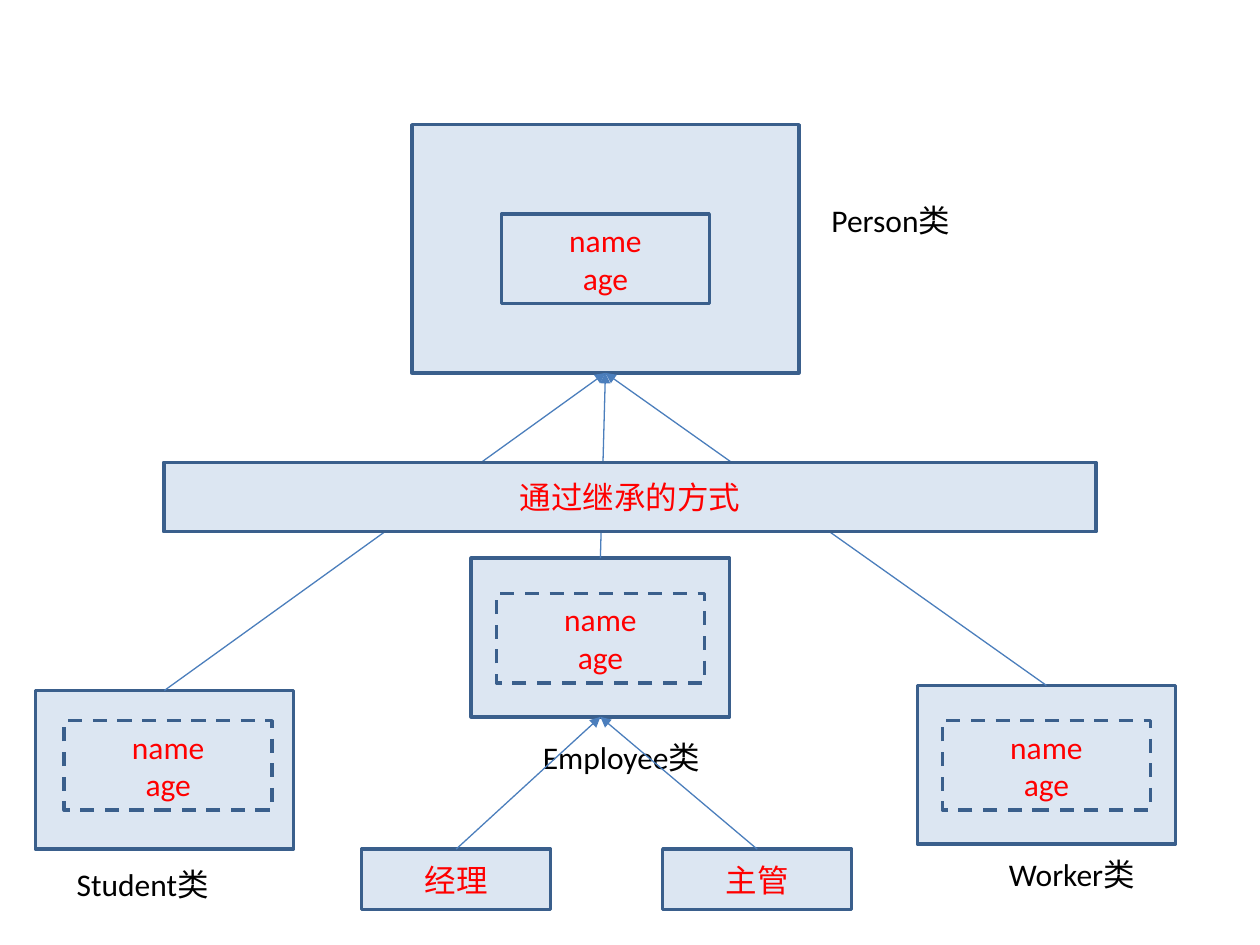
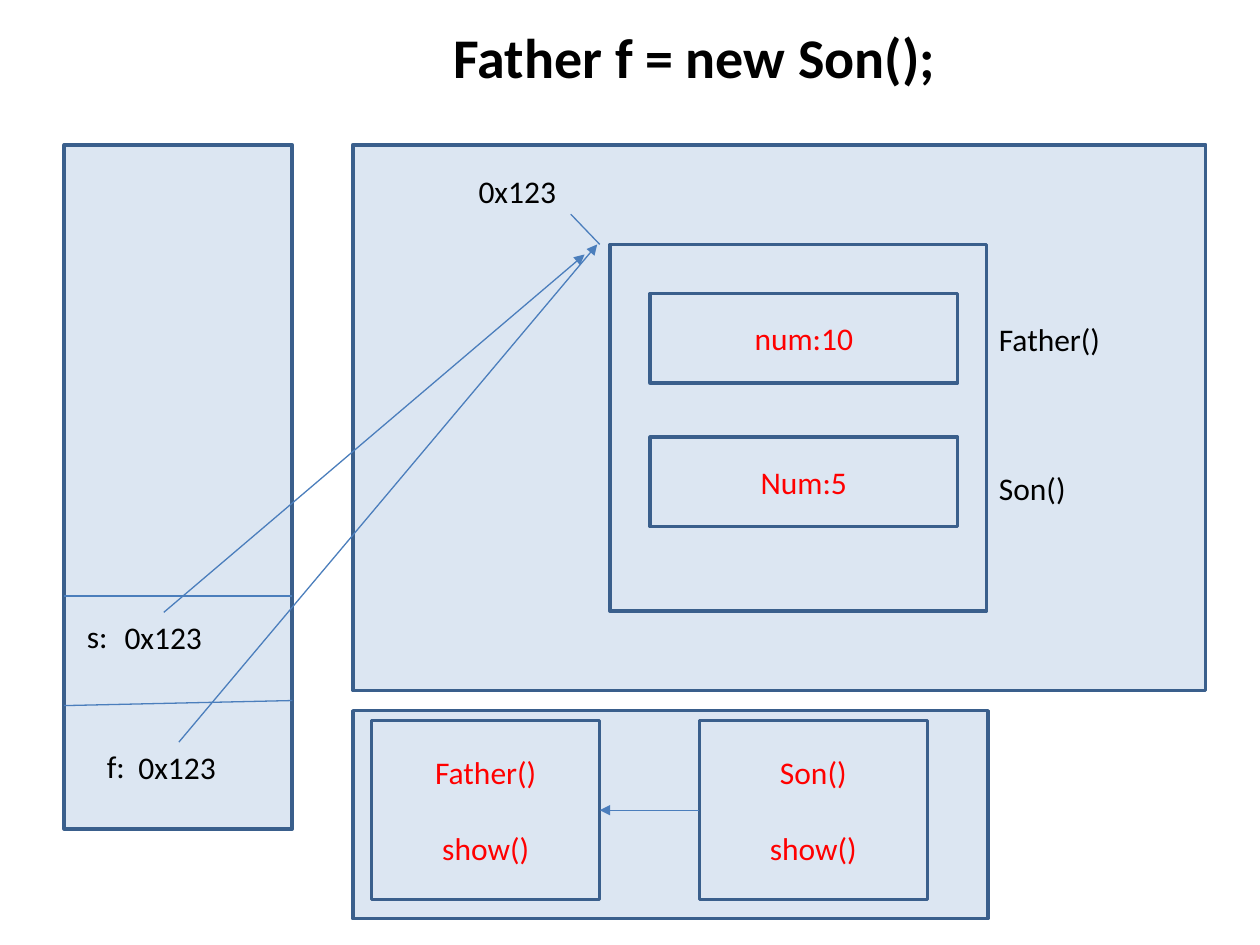
import pptx
import pptx.util
import pptx.dml.color
import pptx.enum.dml
import pptx.enum.shapes
import pptx.enum.text
import pptx.oxml
import pptx.oxml.ns
from pptx.util import Inches

PALE_BLUE = pptx.dml.color.RGBColor(0xDC, 0xE6, 0xF2)
BORDER_BLUE = pptx.dml.color.RGBColor(0x3A, 0x5F, 0x8C)
ARROW_BLUE = pptx.dml.color.RGBColor(0x4B, 0x7E, 0xBC)
RED = pptx.dml.color.RGBColor(0xFF, 0x00, 0x00)
BLACK = pptx.dml.color.RGBColor(0x00, 0x00, 0x00)
FONT = "Calibri"
TOP, LEFT, BOTTOM, RIGHT = range(4)
FIELD_SIZE = (1.65, 0.71)
CLASS_SIZE = (2.05, 1.26)


def write(frame, text, size=18, color=BLACK, bold=False, align="LEFT", anchor="TOP", gap=0):
    """Fill a text frame with one paragraph per line of text."""
    frame.text = text
    frame.word_wrap = True
    frame.vertical_anchor = pptx.enum.text.MSO_ANCHOR[anchor]
    for index, paragraph in enumerate(frame.paragraphs):
        paragraph.alignment = pptx.enum.text.PP_ALIGN[align]
        if index and gap:
            paragraph.space_before = pptx.util.Pt(gap)
        for run in paragraph.runs:
            run.font.name = FONT
            run.font.size = pptx.util.Pt(size)
            run.font.bold = bold
            run.font.color.rgb = color


def add_box(slide, position, size, text="", dashed=False, gap=0):
    """Add a pale blue rectangle with optional centred red text."""
    box = slide.shapes.add_shape(
        pptx.enum.shapes.MSO_SHAPE.RECTANGLE, *map(Inches, (*position, *size)))
    box.shadow.inherit = False
    box.fill.solid()
    box.fill.fore_color.rgb = PALE_BLUE
    box.line.color.rgb = BORDER_BLUE
    box.line.width = pptx.util.Pt(2)
    if dashed:
        box.line.dash_style = pptx.enum.dml.MSO_LINE.DASH
    if text:
        write(box.text_frame, text, color=RED, align="CENTER", anchor="MIDDLE", gap=gap)
    return box


def add_label(slide, left, top, width, text):
    """Add a one-line black label."""
    label = slide.shapes.add_textbox(*map(Inches, (left, top, width, 0.4)))
    write(label.text_frame, text)
    label.text_frame.auto_size = pptx.enum.text.MSO_AUTO_SIZE.SHAPE_TO_FIT_TEXT


def style_line(line, arrow):
    """Give a connector its colour, width and optional arrowhead."""
    line.line.color.rgb = ARROW_BLUE
    line.line.width = pptx.util.Pt(0.75)
    properties = line._element.spPr
    if arrow:
        head = pptx.oxml.parse_xml(
            f'<a:tailEnd {pptx.oxml.ns.nsdecls("a")} type="triangle"/>')
        properties.get_or_add_ln().append(head)
    properties.append(pptx.oxml.parse_xml(f'<a:effectLst {pptx.oxml.ns.nsdecls("a")}/>'))


def add_line(slide, start, end, arrow=False):
    """Draw a straight line between two points."""
    line = slide.shapes.add_connector(
        pptx.enum.shapes.MSO_CONNECTOR.STRAIGHT, *map(Inches, (*start, *end)))
    style_line(line, arrow)


def join(slide, child, child_side, parent, parent_side):
    """Draw an arrow joined to the sides of a child and a parent box."""
    line = slide.shapes.add_connector(pptx.enum.shapes.MSO_CONNECTOR.STRAIGHT, 0, 0, 0, 0)
    line.begin_connect(child, child_side)
    line.end_connect(parent, parent_side)
    style_line(line, True)


def add_class(slide, position, field_position, size=CLASS_SIZE, inherited=True):
    """Add a class box holding its name and age fields."""
    class_box = add_box(slide, position, size)
    add_box(slide, field_position, FIELD_SIZE, "name\nage", dashed=inherited)
    return class_box


def build_inheritance(slide):
    """Draw the Person class with the classes that inherit from it."""
    person = add_class(slide, (3.27, 0.99), (3.98, 1.7), size=(3.07, 1.97), inherited=False)
    student = add_class(slide, (0.28, 5.48), (0.51, 5.72))
    employee = add_class(slide, (3.74, 4.43), (3.94, 4.71))
    worker = add_class(slide, (7.28, 5.44), (7.48, 5.72))
    for label in ((0.51, 6.82, 2.68, "Student类"), (4.21, 5.81, 1.77, "Employee类"),
                  (7.91, 6.74, 1.97, "Worker类"), (6.5, 1.55, 1.81, "Person类")):
        add_label(slide, *label)
    for subclass in (student, employee, worker):
        join(slide, subclass, TOP, person, BOTTOM)
    add_box(slide, (1.3, 3.67), (7.4, 0.55), "通过继承的方式")
    for left, role in ((2.87, "经理"), (5.26, "主管")):
        role_box = add_box(slide, (left, 6.74), (1.5, 0.48), role)
        join(slide, role_box, TOP, employee, BOTTOM)


def build_memory(slide):
    """Draw the stack, heap and method area for a Son object."""
    title = slide.shapes.title
    title.left, title.top, title.width, title.height = map(Inches, (3.5, 0.13, 6.14, 0.64))
    write(title.text_frame, "Father f = new Son();", size=32, bold=True)
    title.text_frame.auto_size = pptx.enum.text.MSO_AUTO_SIZE.NONE

    stack_left, stack_width, area_top = 0.51, 1.81, 1.15
    stack_right = stack_left + stack_width
    add_box(slide, (stack_left, area_top), (stack_width, 5.43))
    add_box(slide, (2.8, area_top), (6.77, 4.33))
    add_box(slide, (2.8, 5.64), (5.04, 1.65))

    father, son = [
        add_box(slide, (left, 5.72), (1.81, 1.42), f"{name}\nshow()", gap=22)
        for left, name in ((2.95, "Father()"), (5.55, "Son()"))]
    join(slide, son, LEFT, father, RIGHT)

    add_box(slide, (4.84, 1.94), (2.99, 2.91))
    for top, number in ((2.33, "num:10"), (3.47, "Num:5")):
        add_box(slide, (5.16, top), (2.44, 0.71), number)

    for label in ((7.83, 2.49, 1.73, "Father()"), (7.83, 3.67, 1.5, "Son()"),
                  (0.75, 5.88, 1.89, "f:"), (0.59, 4.85, 2.05, "s:")):
        add_label(slide, *label)
    for left, top in ((3.7, 1.32), (1, 5.89), (0.89, 4.86)):
        add_label(slide, left, top, 0.83, "0x123")

    add_line(slide, (stack_left, 5.6), (stack_right, 5.56))
    add_line(slide, (stack_left, 4.73), (stack_right, 4.73))
    add_line(slide, (4.76, 1.94), (4.53, 1.7))
    add_line(slide, (1.42, 5.89), (4.74, 1.94), arrow=True)
    add_line(slide, (1.3, 4.86), (4.64, 2.02), arrow=True)


def main():
    """Build and save both slides."""
    deck = pptx.Presentation()
    deck.slide_width, deck.slide_height = Inches(10), Inches(7.5)
    title_only, blank = deck.slide_layouts[5], deck.slide_layouts[6]
    build_inheritance(deck.slides.add_slide(blank))
    build_memory(deck.slides.add_slide(title_only))
    deck.save("out.pptx")


if __name__ == "__main__":
    main()
